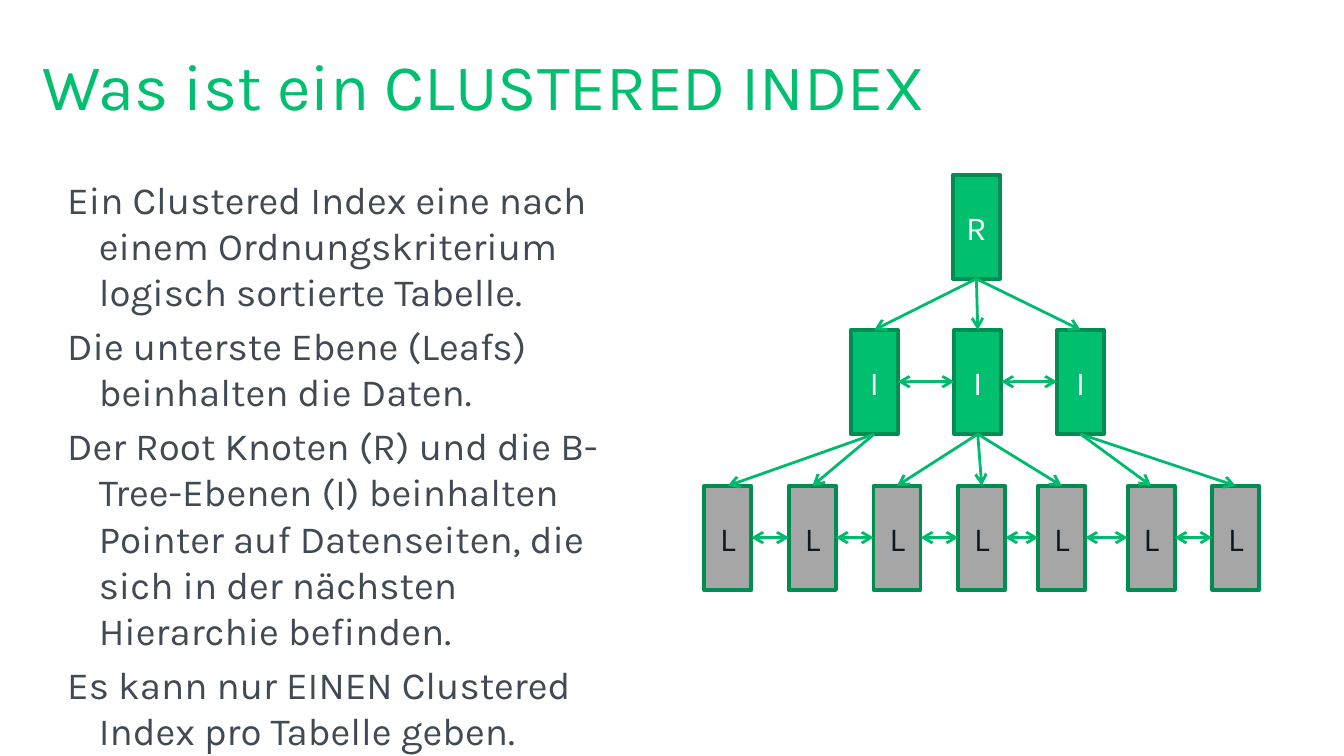
from lxml import etree
from pptx import Presentation
from pptx.dml.color import RGBColor
from pptx.enum.shapes import MSO_CONNECTOR, MSO_SHAPE
from pptx.enum.text import MSO_ANCHOR, PP_ALIGN
from pptx.oxml.ns import qn
from pptx.util import Pt

RECT = MSO_SHAPE.RECTANGLE
LINE = MSO_CONNECTOR.STRAIGHT
TOP, MID = MSO_ANCHOR.TOP, MSO_ANCHOR.MIDDLE
CENTER = PP_ALIGN.CENTER
SCALE = 4572
FONT = "Karla"
COLORS = {
    "green": "00BF6F",
    "edge": "008D52",
    "link": "00BB6D",
    "gray": "A6A6A6",
    "text": "414A54",
    "dark": "101820",
    "white": "FFFFFF",
}
WIDE, HIGH = 70, 155
ROOT = (1418, 260)
NODES = [(x, 491) for x in (1266, 1420, 1573)]
LEAVES = [(x, 723) for x in (1048, 1174, 1300, 1426, 1545, 1678, 1804)]
GROUPS = [LEAVES[:2], LEAVES[2:5], LEAVES[5:]]
POINTS = [
    "Ein Clustered Index eine nach einem Ordnungskriterium logisch sortierte Tabelle.",
    "Die unterste Ebene (Leafs) beinhalten die Daten.",
    "Der Root Knoten (R) und die B-Tree-Ebenen (I) beinhalten Pointer auf "
    "Datenseiten, die sich in der nächsten Hierarchie befinden.",
    "Es kann nur EINEN Clustered Index pro Tabelle geben.",
]


def px(n):
    return n * SCALE


def color(name):
    return RGBColor.from_string(COLORS[name])


class Page:
    def __init__(self, slide):
        self.slide = slide
        self.shapes = slide.shapes

    def run(self, para, text, size, tone):
        run = para.add_run()
        run.text = text
        run.font.name = FONT
        run.font.size = Pt(size)
        run.font.color.rgb = color(tone)

    def frame(self, x, y, w, h, right, anchor):
        box = self.shapes.add_textbox(px(x), px(y), px(w), px(h))
        frame = box.text_frame
        frame.word_wrap = True
        frame.vertical_anchor = anchor
        frame.margin_left = frame.margin_top = frame.margin_bottom = 0
        frame.margin_right = px(right)
        return frame

    def title(self, text):
        frame = self.frame(63, 63, 1874, 125, 0, MID)
        self.run(frame.paragraphs[0], text, 34.9, "green")

    def body(self, items):
        frame = self.frame(100, 262, 884, 804, 40, TOP)
        for i, text in enumerate(items):
            para = frame.add_paragraph() if i else frame.paragraphs[0]
            props = para._p.get_or_add_pPr()
            props.set("marL", str(px(47)))
            props.set("indent", str(px(-47)))
            para.line_spacing = Pt(24.65)
            para.space_before = Pt(4.4 if i else 0)
            self.run(para, text, 20.6, "text")

    def node(self, spot, text, fill="green", tone="white"):
        x, y = spot
        box = self.shapes.add_shape(RECT, px(x), px(y), px(WIDE), px(HIGH))
        box.shadow.inherit = False
        box.fill.solid()
        box.fill.fore_color.rgb = color(fill)
        box.line.color.rgb = color("edge")
        box.line.width = Pt(2)
        frame = box.text_frame
        frame.vertical_anchor = MID
        para = frame.paragraphs[0]
        para.alignment = CENTER
        self.run(para, text, 18, tone)

    def arrow(self, start, end, both=False):
        x, y = start
        line = self.shapes.add_connector(LINE, px(x), px(y), *map(px, end))
        line.line.color.rgb = color("link")
        line.line.width = Pt(1.5)
        props = line._element.spPr
        edge = props.find(qn("a:ln"))
        for tag in ("a:headEnd", "a:tailEnd") if both else ("a:tailEnd",):
            etree.SubElement(edge, qn(tag), type="arrow")
        etree.SubElement(props, qn("a:effectLst"))

    def down(self, top, kids):
        x, y = top
        for left, high in kids:
            self.arrow((x + WIDE // 2, y + HIGH), (left + WIDE // 2, high))

    def chain(self, row):
        for (x, y), (end, _) in zip(row, row[1:]):
            mid = y + HIGH // 2
            self.arrow((x + WIDE, mid), (end, mid), True)


def main():
    deck = Presentation()
    deck.slide_width, deck.slide_height = px(2000), px(1125)
    page = Page(deck.slides.add_slide(deck.slide_layouts[6]))
    page.title("Was ist ein CLUSTERED INDEX")
    page.body(POINTS)
    page.node(ROOT, "R")
    for spot in NODES:
        page.node(spot, "I")
    for spot in LEAVES:
        page.node(spot, "L", "gray", "dark")
    page.down(ROOT, NODES)
    for spot, group in zip(NODES, GROUPS):
        page.down(spot, group)
    page.chain(NODES)
    page.chain(LEAVES)
    deck.save("out.pptx")


if __name__ == "__main__":
    main()
